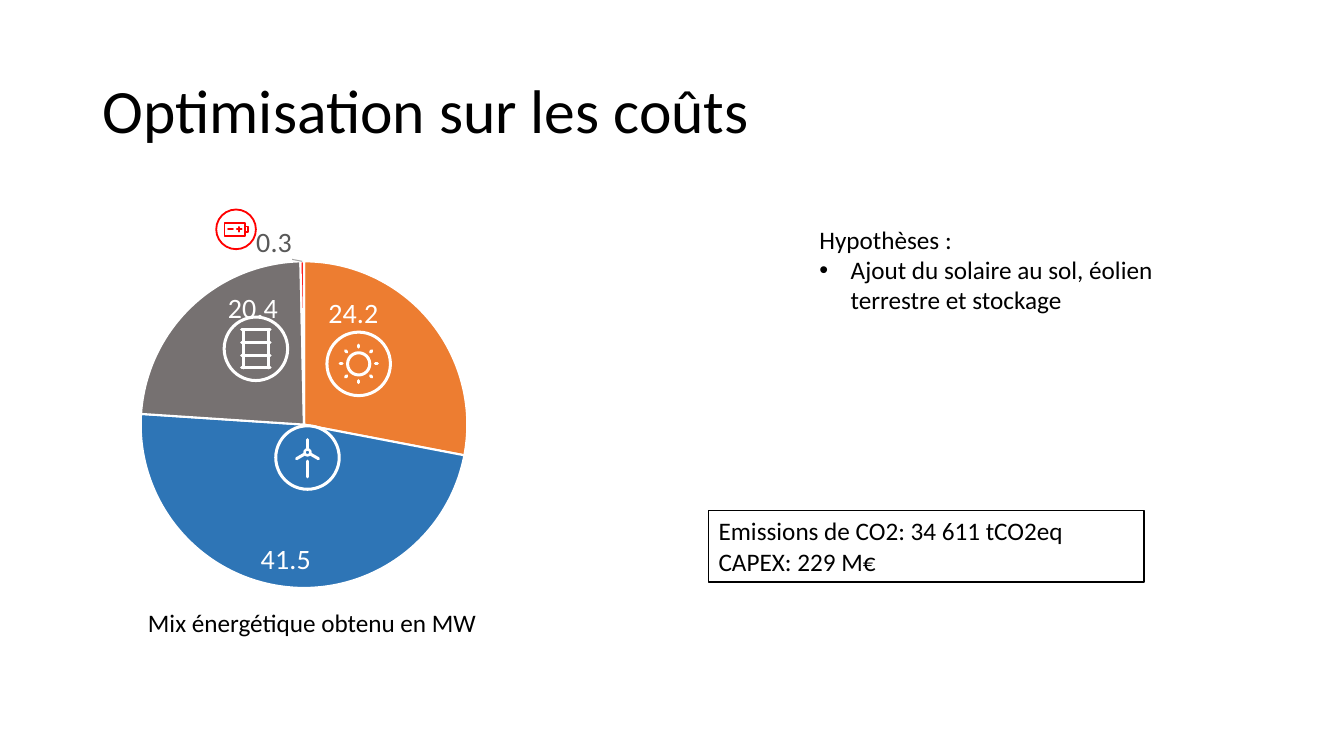
"""Build the slide on the cost-optimised energy mix."""
from math import cos, radians, sin

from lxml import etree
from pptx import Presentation
from pptx import util as u
from pptx.chart.data import CategoryChartData
from pptx.dml.color import RGBColor
from pptx.enum import chart as ch, shapes, text
from pptx.oxml import parse_xml
from pptx.oxml.ns import nsdecls, qn

BLACK, WHITE, RED, GREY = "000000", "FFFFFF", "FF0000", "595959"
RECT, OVAL = shapes.MSO_SHAPE.RECTANGLE, shapes.MSO_SHAPE.OVAL
STROKE, THIN = 2.16, 1.3


def apply(obj, values):
    """Set each attribute of obj from a dict."""
    for name, value in values.items():
        setattr(obj, name, value)


def paint(fmt, color):
    """Give a fill a solid colour."""
    fmt.solid()
    fmt.fore_color.rgb = RGBColor.from_string(color)


def style(font, size, color=BLACK):
    """Set the typeface, size and colour of a font."""
    apply(font, {"name": "Calibri", "size": u.Pt(size)})
    paint(font.fill, color)


def box(*lengths):
    """Turn numbers into centimetre lengths."""
    return [u.Cm(n) for n in lengths]


def write(tf, lines, size=18, bullets=(), **frame):
    """Fill a text frame with paragraphs, some of them bulleted."""
    apply(tf, {"word_wrap": True, **frame})
    for i, line in enumerate(lines):
        p = tf.paragraphs[0] if i == 0 else tf.add_paragraph()
        p.alignment = text.PP_ALIGN.LEFT
        if i in bullets:
            pPr = p._p.get_or_add_pPr()
            pPr.set("marL", str(u.Cm(0.79)))
            pPr.set("indent", str(-u.Cm(0.79)))
            etree.SubElement(pPr, qn("a:buFont")).set("typeface", "Arial")
            etree.SubElement(pPr, qn("a:buChar")).set("char", "•")
        r = p.add_run()
        r.text = line
        style(r.font, size)


def edge(sp, color, width):
    """Leave a shape unfilled, with a round-ended line."""
    sp.shadow.inherit = False
    sp.fill.background()
    paint(sp.line.fill, color)
    sp.line.width = u.Pt(width)
    sp.line._get_or_add_ln().set("cap", "rnd")


def outline(parts, kind, x, y, w, h, color=WHITE, width=STROKE):
    """Draw an unfilled shape centred on x, y."""
    edge(parts.add_shape(kind, *box(x - w / 2, y - h / 2, w, h)), color, width)


def strokes(parts, segments, color=WHITE, width=STROKE):
    """Draw several straight strokes as one outline."""
    builder = parts.build_freeform(*box(*segments[0][:2]))
    for x1, y1, x2, y2 in segments:
        builder.move_to(*box(x1, y1))
        builder.add_line_segments([box(x2, y2)], close=False)
    edge(builder.convert_to_shape(), color, width)


def ray(x, y, inner, outer, angle):
    """Return a segment that points away from x, y."""
    dx, dy = cos(radians(angle)), sin(radians(angle))
    return x + inner * dx, y + inner * dy, x + outer * dx, y + outer * dy


def badge(s, x, y, d=1.6, color=WHITE, width=STROKE):
    """Start an icon group with its ring and return its shapes."""
    parts = s.shapes.add_group_shape().shapes
    outline(parts, OVAL, x, y, d, d, color, width)
    return parts


def wind_icon(s, x, y):
    """Draw the wind turbine icon."""
    parts = badge(s, x, y)
    hub = y - 0.13
    strokes(parts, [(x, y + 0.09, x, y + 0.49)])
    outline(parts, OVAL, x, hub, 0.15, 0.15, width=1.8)
    strokes(parts, [ray(x, hub, 0.1, 0.32, a) for a in (30, 150, 270)])


def sun_icon(s, x, y):
    """Draw the sun icon."""
    parts = badge(s, x, y)
    outline(parts, OVAL, x, y, 0.56, 0.56)
    for angle in range(0, 360, 45):
        strokes(parts, [ray(x, y, 0.42, 0.47, angle)])


def barrel_icon(s, x, y):
    """Draw the barrel icon."""
    sides = [(x + dx, y - 0.48, x + dx, y + 0.48) for dx in (-0.32, 0.32)]
    hoops = [(x - 0.36, y + dy, x + 0.36, y + dy)
             for dy in (-0.48, -0.16, 0.16, 0.48)]
    strokes(badge(s, x, y), sides + hoops)


def battery_icon(s, x, y):
    """Draw the battery icon."""
    parts = badge(s, x, y, 1, RED, THIN)
    outline(parts, RECT, x - 0.03, y, 0.52, 0.32, RED, THIN)
    outline(parts, RECT, x + 0.27, y, 0.07, 0.14, RED, THIN)
    plus = x + 0.08
    strokes(parts, [(x - 0.2, y, x - 0.08, y), (plus - 0.06, y, plus + 0.06, y),
                    (plus, y - 0.06, plus, y + 0.06)], RED, THIN)


def layout(**values):
    """Make a manual chart layout element."""
    target = '<c:layoutTarget val="inner"/>' if "w" in values else ""
    modes = '<c:xMode val="edge"/><c:yMode val="edge"/>' if target else ""
    places = "".join(f'<c:{k} val="{v}"/>' for k, v in values.items())
    return parse_xml(f'<c:layout {nsdecls("c")}><c:manualLayout>{target}{modes}'
                     f'{places}</c:manualLayout></c:layout>')


def mix_chart(s):
    """Add the pie of the energy mix."""
    data = CategoryChartData(number_format="0.0")
    data.categories = ["1", "2", "3", "4"]
    data.add_series("Series 1", (24.2, 41.5, 20.4, 0.3))
    chart = s.shapes.add_chart(ch.XL_CHART_TYPE.PIE, *box(1.9, 5.17, 11.76, 10.06),
                               data).chart
    apply(chart, {"has_title": False, "has_legend": False})
    style(chart.font, 10)
    series = chart.plots[0].series[0]
    labels = series.data_labels
    inside, outside = (ch.XL_LABEL_POSITION.INSIDE_END,
                       ch.XL_LABEL_POSITION.OUTSIDE_END)
    apply(labels, {"show_value": True, "number_format": "0.0",
                   "number_format_is_linked": False, "position": inside})
    style(labels.font, 20, WHITE)
    for i, color in enumerate(("ED7D31", "2E75B6", "767171", RED)):
        fmt = series.points[i].format
        paint(fmt.fill, color)
        paint(fmt.line.fill, WHITE)
        fmt.line.width = u.Pt(1.5)
    moves = ((WHITE, inside, -0.1, -0.07), (WHITE, inside, -0.05, -0.01),
             (WHITE, inside, 0.07, -0.05), (GREY, outside, -0.06, 0.01))
    for i, (color, position, _, _) in enumerate(moves):
        label = series.points[i].data_label
        style(label.font, 20, color)
        label.position = position
    root = chart._chartSpace
    for dLbl, (_, _, x, y) in zip(root.xpath(".//c:ser/c:dLbls/c:dLbl"), moves):
        dLbl.insert(1, layout(x=x, y=y))
    for leader in root.xpath(".//c:ser/c:dLbls/c:showLeaderLines"):
        leader.addnext(parse_xml(
            f'<c:leaderLines {nsdecls("c", "a")}><c:spPr><a:ln w="9525"><a:solidFill>'
            '<a:srgbClr val="A6A6A6"/></a:solidFill></a:ln></c:spPr></c:leaderLines>'))
    area = root.xpath(".//c:plotArea")[0]
    for old in area.findall(qn("c:layout")):
        area.remove(old)
    area.insert(0, layout(x=0.14, y=0.14, w=0.7, h=0.82))


def main():
    """Build and save the slide."""
    prs = Presentation()
    apply(prs, {"slide_width": u.Cm(33.87), "slide_height": u.Cm(19.05)})
    s = prs.slides.add_slide(prs.slide_layouts[5])
    title = s.shapes.title
    apply(title, dict(zip(("left", "top", "width", "height"),
                          box(2.33, 1.01, 29.21, 3.68))))
    write(title.text_frame, ["Optimisation sur les coûts"], 44,
          vertical_anchor=text.MSO_ANCHOR.MIDDLE, auto_size=text.MSO_AUTO_SIZE.NONE)
    title.text_frame.paragraphs[0].line_spacing = 0.9
    write(s.shapes.add_textbox(*box(20.4, 5.52, 9.55, 4.11)).text_frame,
          ["Hypothèses :", "Ajout du solaire au sol, éolien terrestre et stockage"],
          bullets=(1,))
    write(s.shapes.add_textbox(*box(3.48, 15.19, 8.89, 1.02)).text_frame,
          ["Mix énergétique obtenu en MW"], word_wrap=False)
    results = s.shapes.add_shape(RECT, *box(17.86, 12.87, 10.97, 1.8))
    results.shadow.inherit = False
    paint(results.fill, WHITE)
    paint(results.line.fill, BLACK)
    results.line.width = u.Pt(1)
    write(results.text_frame, ["Emissions de CO2: 34 611 tCO2eq", "CAPEX: 229 M€"],
          vertical_anchor=text.MSO_ANCHOR.TOP)
    mix_chart(s)
    wind_icon(s, 7.75, 11.53)
    battery_icon(s, 5.95, 5.78)
    sun_icon(s, 9.04, 9.17)
    barrel_icon(s, 6.45, 8.79)
    prs.save("out.pptx")


if __name__ == "__main__":
    main()
